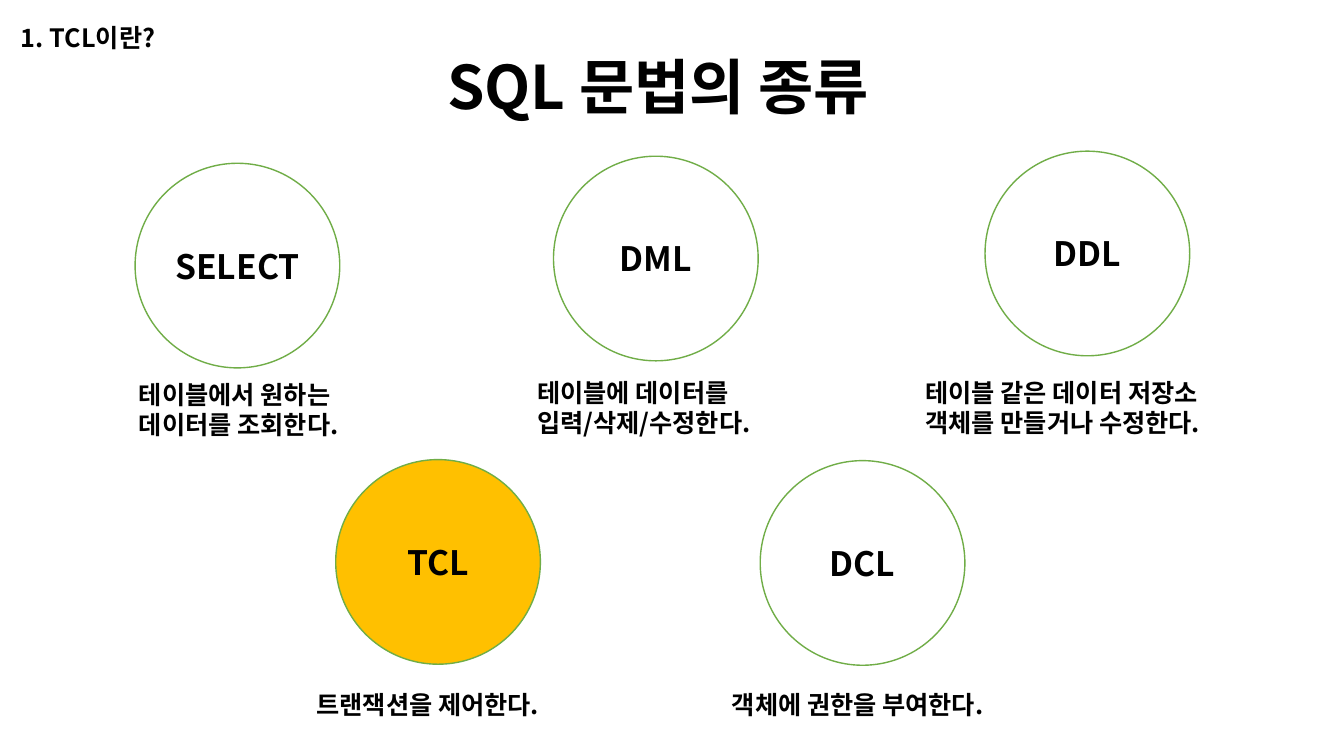
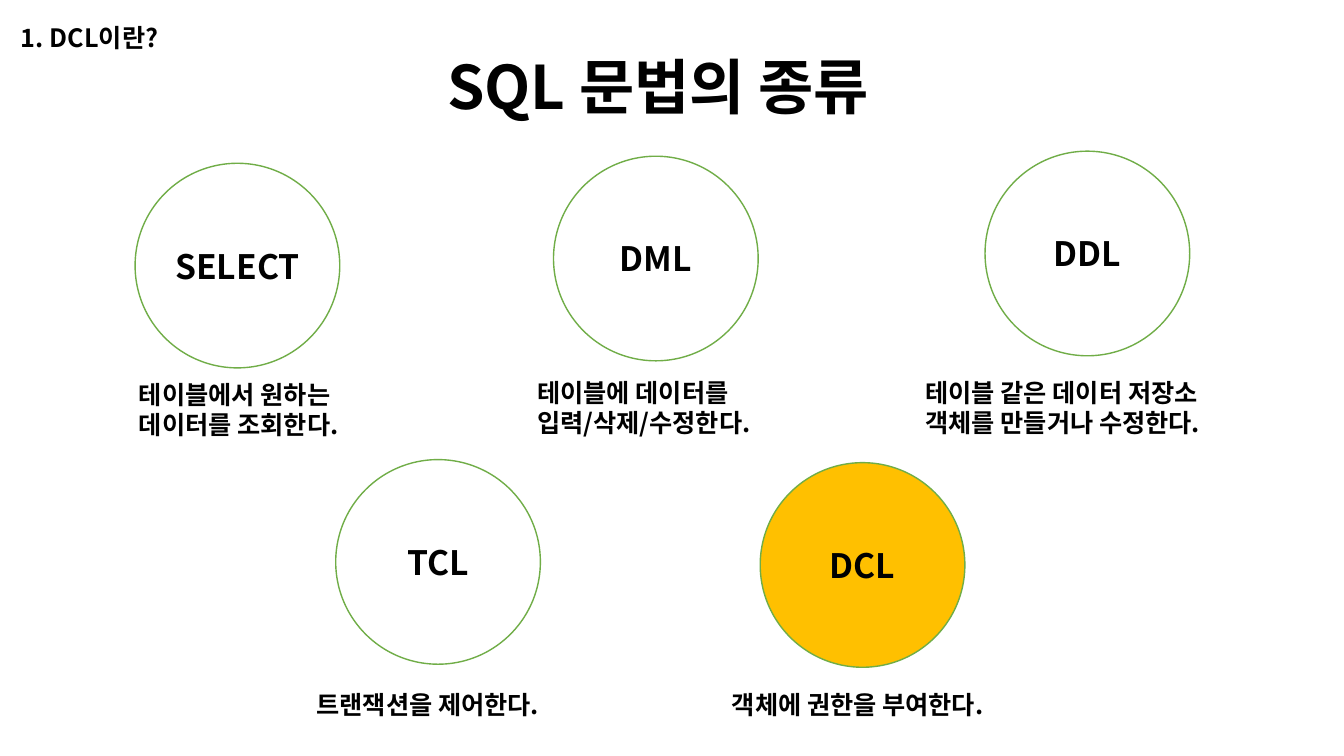
from lxml import etree
from pptx import Presentation
from pptx.dml.color import RGBColor
from pptx.enum import shapes, text
from pptx.oxml.ns import qn
from pptx.util import Inches, Pt

FONT = "Noto Sans CJK KR"
BLACK, GREEN, AMBER = "000000", "70AD47", "FFC000"
DIAMETER = 2.03
TITLE = " SQL 문법의 종류"

# Heading, highlighted command group, top of the DCL circle
SLIDES = [
    ("1. TCL이란?", "TCL", 4.57),
    ("1. DCL이란?", "DCL", 4.59),
]

# Group: circle (left, top), caption (left, top, width, height), caption lines
GROUPS = {
    "SELECT": ((1.34, 1.62), (1.28, 3.71, 2.45, 0.71),
               ["테이블에서 원하는", "데이터를 조회한다."]),
    "DML": ((5.49, 1.55), (5.23, 3.69, 2.56, 0.71),
            ["테이블에 데이터를", "입력/삭제/수정한다."]),
    "DDL": ((9.77, 1.5), (9.08, 3.69, 3.42, 0.71),
            ["테이블 같은 데이터 저장소", "객체를 만들거나 수정한다."]),
    "TCL": ((3.33, 4.56), (3.04, 6.79, 2.69, 0.4), ["트랜잭션을 제어한다."]),
    "DCL": ((7.54, 4.57), (7.16, 6.79, 3.12, 0.4), ["객체에 권한을 부여한다."]),
}


def color(value):
    return RGBColor.from_string(value)


def write(frame, lines, size, align=text.PP_ALIGN.LEFT):
    """Fill a text frame with bold black lines in the shared font."""
    frame.text = "\n".join(lines)
    frame.word_wrap = True
    for paragraph in frame.paragraphs:
        paragraph.alignment = align
        for run in paragraph.runs:
            font = run.font
            font.name, font.size, font.bold = FONT, Pt(size), True
            font.color.rgb = color(BLACK)
            # Hangul takes its font from the East Asian setting
            east_asian = etree.SubElement(run._r.get_or_add_rPr(), qn("a:ea"))
            east_asian.set("typeface", FONT)


def add_title(slide):
    title = slide.shapes.title
    title.left, title.top, title.width, title.height = map(
        Inches, (4.2, 0.51, 4.94, 0.77))
    frame = title.text_frame
    write(frame, [TITLE], 42.9)
    frame.auto_size = text.MSO_AUTO_SIZE.NONE
    frame.vertical_anchor = text.MSO_ANCHOR.MIDDLE
    frame.paragraphs[0].line_spacing = 0.9


def add_label(slide, box, lines):
    label = slide.shapes.add_textbox(*map(Inches, box))
    write(label.text_frame, lines, 18)
    label.text_frame.auto_size = text.MSO_AUTO_SIZE.SHAPE_TO_FIT_TEXT


def add_circle(slide, name, left, top, highlighted):
    circle = slide.shapes.add_shape(
        shapes.MSO_SHAPE.OVAL, *map(Inches, (left, top, DIAMETER, DIAMETER)))
    circle.shadow.inherit = False
    if highlighted:
        circle.fill.solid()
        circle.fill.fore_color.rgb = color(AMBER)
    else:
        circle.fill.background()
    circle.line.color.rgb = color(GREEN)
    circle.line.width = Pt(1)
    write(circle.text_frame, [name], 24, text.PP_ALIGN.CENTER)
    circle.text_frame.vertical_anchor = text.MSO_ANCHOR.MIDDLE


def main():
    deck = Presentation()
    deck.slide_width, deck.slide_height = Inches(13.33), Inches(7.5)
    title_only = deck.slide_layouts[5]

    for heading, current, dcl_top in SLIDES:
        slide = deck.slides.add_slide(title_only)
        add_title(slide)
        add_label(slide, (0.11, 0.17, 2.65, 0.4), [heading])

        # Circles with their captions
        for name, ((left, top), caption_box, caption) in GROUPS.items():
            circle_top = dcl_top if name == "DCL" else top
            add_circle(slide, name, left, circle_top, name == current)
            add_label(slide, caption_box, caption)

    deck.save("out.pptx")


if __name__ == "__main__":
    main()
